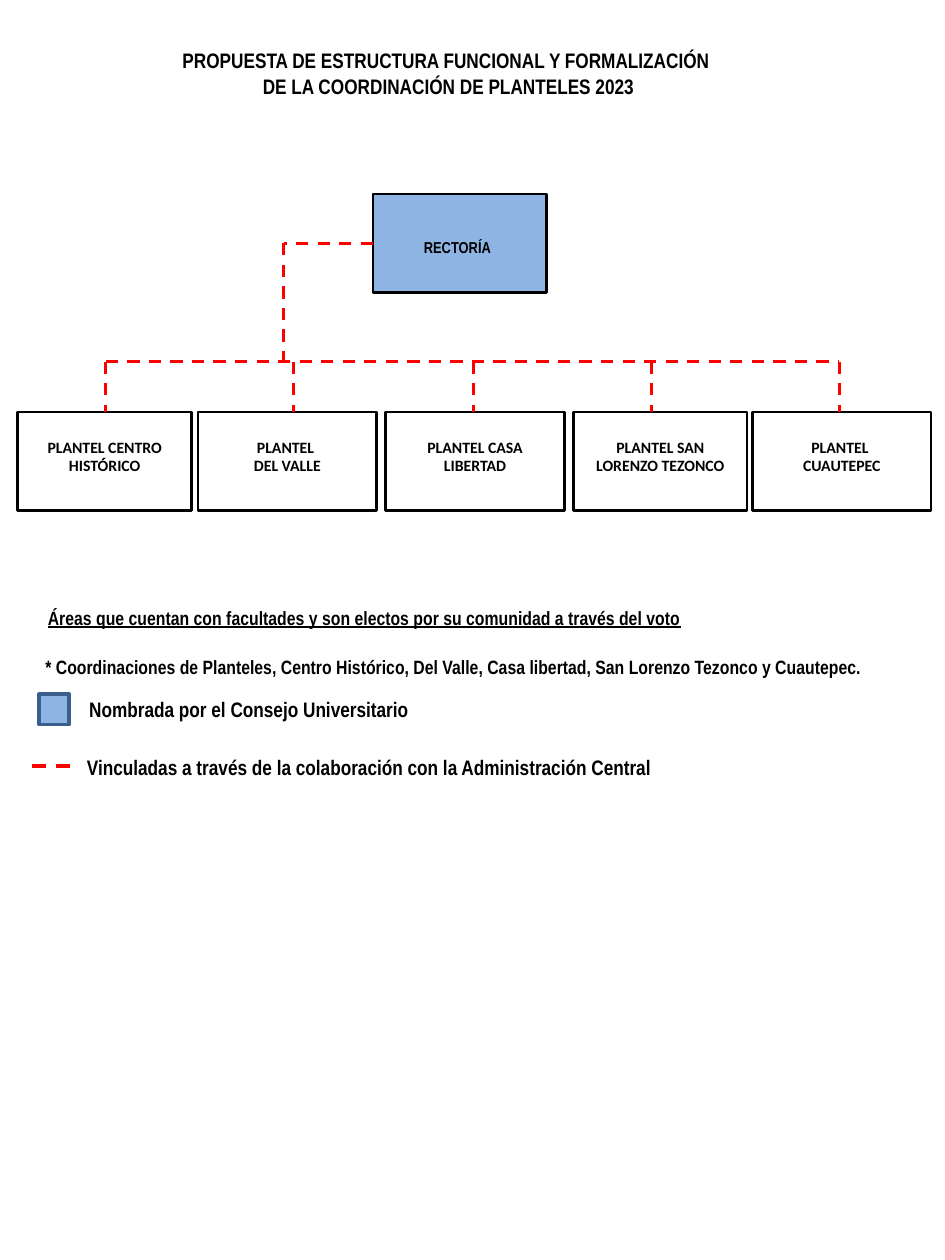
import dataclasses

import pptx
import pptx.dml.color
import pptx.enum.dml
import pptx.enum.shapes
import pptx.enum.text
import pptx.oxml
import pptx.oxml.ns
import pptx.util

COLS, ROWS = 75, 100
HUES = {"ink": "000000", "blue": "8EB4E3", "edge": "3A5F8C", "red": "FF0000"}
NARROW, BODY = "Arial Narrow", "Calibri"
KINDS = pptx.enum.shapes.MSO_SHAPE
ALIGN = pptx.enum.text.PP_ALIGN

deck = pptx.Presentation()
deck.slide_width = pptx.util.Inches(7.5)
deck.slide_height = pptx.util.Inches(10)
slide = deck.slides.add_slide(deck.slide_layouts[5])


@dataclasses.dataclass
class Area:
    col: float
    row: float
    wide: float
    high: float


@dataclasses.dataclass
class Campus:
    name: str
    col: float
    wide: float
    drop: float


@dataclasses.dataclass
class Note:
    text: str
    area: Area
    size: float
    inset: tuple = (0.25, 0.12, 0.25, 0.12)
    under: bool = False


def across(cols: float) -> int:
    return round(deck.slide_width * cols / COLS)


def down(rows: float) -> int:
    return round(deck.slide_height * rows / ROWS)


def spot(area: Area) -> tuple:
    return across(area.col), down(area.row), across(area.wide), down(area.high)


def hue(name: str) -> pptx.dml.color.RGBColor:
    return pptx.dml.color.RGBColor.from_string(HUES[name])


def write(shape, text: str, *, size: float, font: str = NARROW, align=ALIGN.LEFT,
          inset: tuple = (0.1, 0.05, 0.1, 0.05), under: bool = False) -> None:
    frame = shape.text_frame
    frame.word_wrap = True
    frame.auto_size = pptx.enum.text.MSO_AUTO_SIZE.NONE
    frame.vertical_anchor = pptx.enum.text.MSO_ANCHOR.TOP
    sides = [pptx.util.Inches(side) for side in inset]
    frame.margin_left, frame.margin_top, frame.margin_right, frame.margin_bottom = sides
    frame.text = text
    for para in frame.paragraphs:
        para.alignment = align
        for run in para.runs:
            run.font.name = font
            run.font.size = pptx.util.Pt(size)
            run.font.bold = True
            run.font.underline = under
            run.font.color.rgb = hue("ink")


def box(area: Area, kind=KINDS.RECTANGLE, fill: str = "", edge: str = "ink", width: float = 1.5):
    shape = slide.shapes.add_shape(kind, *spot(area))
    shape.shadow.inherit = False
    if fill:
        shape.fill.solid()
        shape.fill.fore_color.rgb = hue(fill)
    else:
        shape.fill.background()
    shape.line.color.rgb = hue(edge)
    shape.line.width = pptx.util.Pt(width)
    return shape


def dash(start: tuple, end: tuple, width: float = 1.75) -> None:
    line = slide.shapes.add_connector(
        pptx.enum.shapes.MSO_CONNECTOR.STRAIGHT,
        across(start[0]), down(start[1]), across(end[0]), down(end[1]))
    line.line.color.rgb = hue("red")
    line.line.width = pptx.util.Pt(width)
    line.line.dash_style = pptx.enum.dml.MSO_LINE.DASH
    props = line.element.find(pptx.oxml.ns.qn("p:spPr"))
    props.append(pptx.oxml.parse_xml(f"<a:effectLst {pptx.oxml.ns.nsdecls('a')}/>"))


def label(note: Note) -> None:
    shape = slide.shapes.add_textbox(*spot(note.area))
    write(shape, note.text, size=note.size, inset=note.inset, under=note.under)


BUS, TOP, HIGH = 28.7, 32.7, 7.8
HEAD = Area(29.6, 15.4, 13.8, HIGH)
STEM = 22.5

CAMPUSES = [
    Campus("PLANTEL CENTRO HISTÓRICO", 1.4, 13.8, 8.4),
    Campus("PLANTEL \nDEL VALLE", 15.7, 14.2, 23.3),
    Campus("PLANTEL CASA LIBERTAD", 30.6, 14.2, 37.55),
    Campus("PLANTEL SAN LORENZO TEZONCO", 45.5, 13.8, 51.7),
    Campus("PLANTEL \nCUAUTEPEC", 59.7, 14.2, 66.6),
]

NOTES = [
    Note("Áreas que cuentan con facultades y son electos por su comunidad a través del voto",
         Area(1.3, 46.9, 64.6, 4.5), 11, under=True),
    Note("* Coordinaciones de Planteles, Centro Histórico, Del Valle, Casa libertad, "
         "San Lorenzo Tezonco y Cuautepec.", Area(1.1, 50.8, 70.1, 4.4), 11),
    Note("Nombrada por el Consejo Universitario",
         Area(6.1, 54.8, 37, 3), 12, (0.1, 0.05, 0.1, 0.05)),
    Note("Vinculadas a través de la colaboración con la Administración Central",
         Area(6.9, 58.7, 48, 4.5), 12, (0, 0.12, 0.25, 0.12)),
]

title = slide.shapes.title
title.left, title.top, title.width, title.height = spot(Area(10.5, 3.3, 50.2, 5))
write(title, "PROPUESTA DE ESTRUCTURA FUNCIONAL Y FORMALIZACIÓN \n"
      "DE LA COORDINACIÓN DE PLANTELES 2023", size=12, align=ALIGN.CENTER)

head = box(HEAD, KINDS.FLOWCHART_PROCESS, fill="blue")
write(head, "RECTORÍA", size=9, align=ALIGN.CENTER, inset=(0.04, 0.35, 0.08, 0.04))

for campus in CAMPUSES:
    shape = box(Area(campus.col, TOP, campus.wide, HIGH))
    write(shape, campus.name, size=9, font=BODY, align=ALIGN.CENTER,
          inset=(0.1, 0.2, 0.1, 0.05))
    dash((campus.drop, BUS), (campus.drop, TOP))

middle = HEAD.row + HEAD.high / 2
dash((HEAD.col, middle), (STEM, middle))
dash((STEM, middle), (STEM, BUS))
dash((CAMPUSES[0].drop, BUS), (CAMPUSES[-1].drop, BUS))

box(Area(3.1, 55.1, 2.4, 2.4), fill="blue", edge="edge", width=2)
dash((2.5, 60.8), (5.7, 60.8), width=2)
for note in NOTES:
    label(note)

deck.save("out.pptx")
